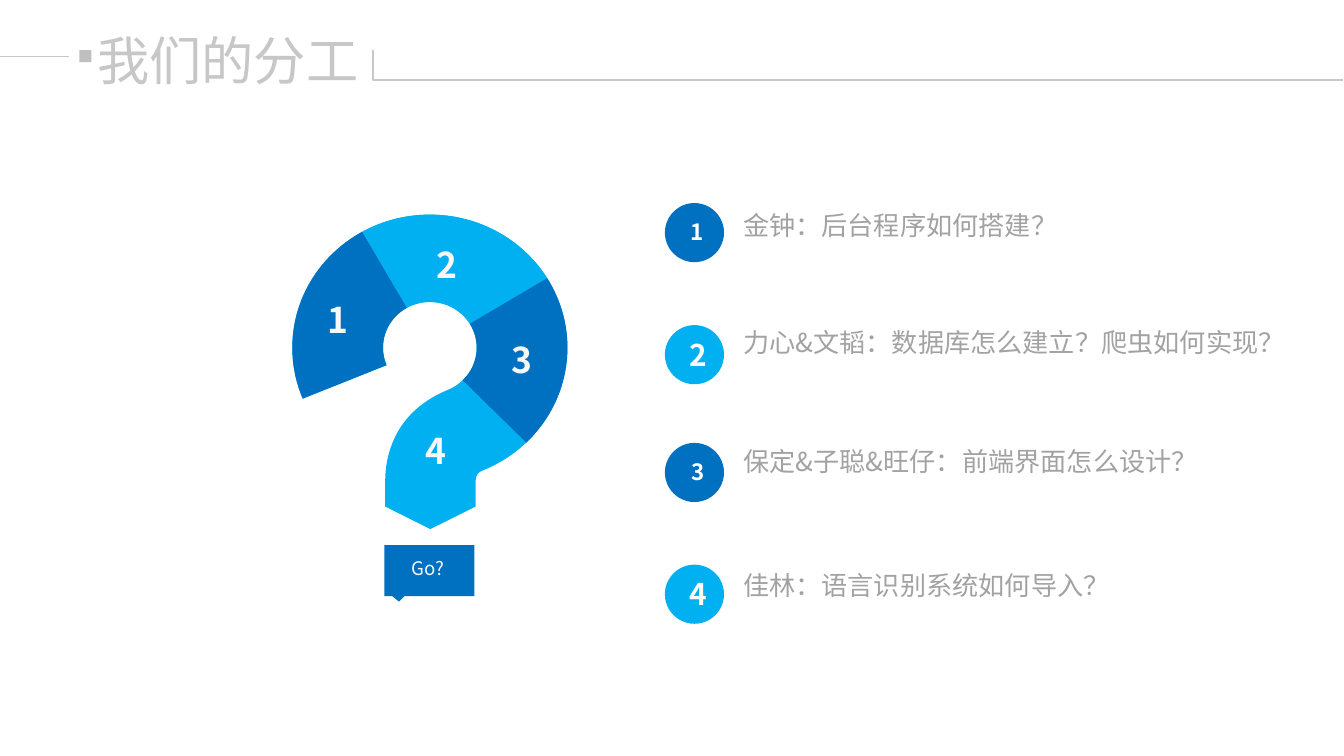
import math
from dataclasses import dataclass

import lxml.etree
import pptx
import pptx.dml.color
import pptx.enum.shapes
import pptx.enum.text
import pptx.oxml.ns
import pptx.util

Pt = pptx.util.Pt
RGBColor = pptx.dml.color.RGBColor
Align = pptx.enum.text.PP_ALIGN
Anchor = pptx.enum.text.MSO_ANCHOR
Shape = pptx.enum.shapes.MSO_SHAPE
qn = pptx.oxml.ns.qn
Point = tuple[float, float]
Step = tuple[Point, ...]

FONT = "Noto Sans CJK SC"
BLUE = RGBColor(0x00, 0x70, 0xC0)
SKY = RGBColor(0x00, 0xB0, 0xF0)
WHITE = RGBColor(0xFF, 0xFF, 0xFF)
PALE = RGBColor(0xF8, 0xF8, 0xF8)
GRAY = RGBColor(0xA2, 0xA2, 0xA2)
RULE = RGBColor(0xC7, 0xC7, 0xC7)
MARK = RGBColor(0xBF, 0xBF, 0xBF)

CENTER = (230.3, 186.3)
OUTER = (73.7, 71.3)
INNER = (25.1, 24.5)
START, END = 157.5, 427.5
TIGHT = (5, 2, 5, 2)
LABEL = (5, 3, 5, 3)


@dataclass
class Style:
    size: float
    color: RGBColor
    bold: bool = False
    align: Align = Align.LEFT
    anchor: Anchor = Anchor.TOP
    inset: tuple = (7.2, 3.6, 7.2, 3.6)
    space: float = 1.0


@dataclass
class Sector:
    first: float
    last: float
    color: RGBColor


@dataclass
class Digit:
    text: str
    left: float
    top: float


@dataclass
class Task:
    text: str
    color: RGBColor
    size: float
    badge: float
    digit: float
    top: float
    width: float
    height: float = 26.6


SECTORS = [Sector(240.5, 328.5, SKY), Sector(328.5, 405.5, BLUE), Sector(START, 240.5, BLUE)]
DIGITS = [
    Digit("1", 170.4, 156.5),
    Digit("2", 228.7, 127.2),
    Digit("3", 269.1, 178.1),
    Digit("4", 223, 227),
]
TASKS = [
    Task("金钟：后台程序如何搭建？", BLUE, 12, 108.8, 362.9, 105.1, 221.8, 77),
    Task("力心&文韬：数据库怎么建立？爬虫如何实现？", SKY, 16, 174.2, 362.5, 167.8, 295.9),
    Task("保定&子聪&旺仔：前端界面怎么设计？", BLUE, 12, 237.3, 363.4, 231.4, 278.6),
    Task("佳林：语言识别系统如何导入？", SKY, 16, 302.5, 362.4, 298.1, 195.8),
]


def spot(radii: Point, angle: float) -> Point:
    turn = math.radians(angle)
    return CENTER[0] + radii[0] * math.cos(turn), CENTER[1] + radii[1] * math.sin(turn)


def arc(radii: Point, first: float, last: float) -> list[Step]:
    low, high = sorted((first, last))
    cuts = [low, *[a for a in range(0, 450, 90) if low < a < high], high]
    if first > last:
        cuts.reverse()
    steps = []
    for a, b in zip(cuts, cuts[1:]):
        pull = 4 / 3 * math.tan(math.radians(b - a) / 4)
        (ax, ay), (bx, by) = spot(radii, a), spot(radii, b)
        s, t = math.radians(a), math.radians(b)
        near = (ax - pull * radii[0] * math.sin(s), ay + pull * radii[1] * math.cos(s))
        far = (bx + pull * radii[0] * math.sin(t), by - pull * radii[1] * math.cos(t))
        steps.append((near, far, (bx, by)))
    return steps


def paint(shape, color: RGBColor) -> None:
    shape.shadow.inherit = False
    shape.fill.solid()
    shape.fill.fore_color.rgb = color
    shape.line.fill.background()


def trace(slide, start: Point, steps: list[Step], close: bool = True):
    pen = slide.shapes.build_freeform(Pt(start[0]), Pt(start[1]))
    pen.add_line_segments([(Pt(x), Pt(y)) for step in steps for x, y in step], close=close)
    shape = pen.convert_to_shape()
    lines = iter(list(shape._element.iter(qn("a:lnTo"))))
    for step in steps:
        group = [next(lines) for point in step]
        if len(group) == 3:
            group[0].tag
            bend = lxml.etree.Element(qn("a:cubicBezTo"))
            group[0].addprevious(bend)
            for line in group:
                bend.append(line[0])
                line.getparent().remove(line)
    return shape


def write(slide, text: str, left: float, top: float, width: float, height: float, style: Style) -> None:
    box = slide.shapes.add_textbox(Pt(left), Pt(top), Pt(width), Pt(height))
    frame = box.text_frame
    frame.word_wrap = True
    frame.vertical_anchor = style.anchor
    sides = [Pt(side) for side in style.inset]
    frame.margin_left, frame.margin_top, frame.margin_right, frame.margin_bottom = sides
    para = frame.paragraphs[0]
    para.text = text
    para.alignment = style.align
    para.line_spacing = style.space
    font = para.font
    font.name, font.size, font.bold = FONT, Pt(style.size), style.bold
    font.color.rgb = style.color
    props = para._p.get_or_add_pPr().get_or_add_defRPr()
    lxml.etree.SubElement(props, qn("a:ea"), typeface=FONT)


def rule(slide, first: Point, last: Point, weight: float) -> None:
    kind = pptx.enum.shapes.MSO_CONNECTOR.STRAIGHT
    line = slide.shapes.add_connector(kind, *[Pt(n) for n in first + last])
    line.line.color.rgb = RULE
    line.line.width = Pt(weight)
    lxml.etree.SubElement(line._element.spPr, qn("a:effectLst"))


def draw_mark(slide) -> None:
    bubble = [(254.2, 292), (254.2, 319.4), (216.7, 319.4),
              (213.8, 322.3), (210.2, 319.4), (205.9, 319.4)]
    paint(trace(slide, (205.9, 292), [(point,) for point in bubble]), BLUE)
    neck = [((256, 253), (254.8, 255), (254.8, 257.8))]
    tip = [((x, y),) for x, y in [(254.8, 271.4), (230.5, 283.5), (206.4, 271.4), (206.4, 257.8)]]
    inner = spot(INNER, END)
    stem = [((206.4, 247), (209.3, 236.9), (215.1, 228.2)), ((221, 219.6), (229.7, 213.1), inner)]
    steps = arc(OUTER, START, END) + neck + tip + stem + arc(INNER, END, START)
    paint(trace(slide, spot(OUTER, START), steps), SKY)
    for part in SECTORS:
        side = [(spot(INNER, part.last),)]
        steps = arc(OUTER, part.first, part.last) + side + arc(INNER, part.last, part.first)
        paint(trace(slide, spot(OUTER, part.first), steps), part.color)
    for digit in DIGITS:
        write(slide, digit.text, digit.left, digit.top, 18, 28.8, Style(19, PALE, True, inset=LABEL))
    write(slide, "Go?", 203, 296.3, 52.6, 15.8, Style(10, PALE, align=Align.CENTER, inset=TIGHT))


def draw_task(slide, number: int, task: Task) -> None:
    disk = slide.shapes.add_shape(Shape.OVAL, Pt(356.2), Pt(task.badge), Pt(31.7), Pt(31.7))
    paint(disk, task.color)
    style = Style(task.size, WHITE, True, Align.CENTER, Anchor.MIDDLE)
    write(slide, str(number), task.digit, task.badge + 4, 18, 23, style)
    style = Style(14, GRAY, inset=TIGHT, space=1.3)
    write(slide, task.text, 393.1, task.top, task.width, task.height, style)


def draw_head(slide) -> None:
    frame = trace(slide, (719.3, 42.7), [((199.8, 42.7),), ((199.8, 26.8),)], close=False)
    frame.shadow.inherit = False
    frame.fill.background()
    frame.line.color.rgb = RULE
    frame.line.width = Pt(1)
    write(slide, "我们的分工", 43.5, 11.5, 157, 36.7, Style(28, RULE, align=Align.CENTER))
    rule(slide, (-9.4, 30.2), (36.9, 30.2), 0.75)
    dot = slide.shapes.add_shape(Shape.RECTANGLE, Pt(42.5), Pt(26.8), Pt(6.5), Pt(6.5))
    paint(dot, MARK)


def main() -> None:
    deck = pptx.Presentation()
    deck.slide_width, deck.slide_height = Pt(720), Pt(405)
    slide = deck.slides.add_slide(deck.slide_layouts[6])
    draw_mark(slide)
    for number, task in enumerate(TASKS, 1):
        draw_task(slide, number, task)
    draw_head(slide)
    deck.save("out.pptx")


if __name__ == "__main__":
    main()
